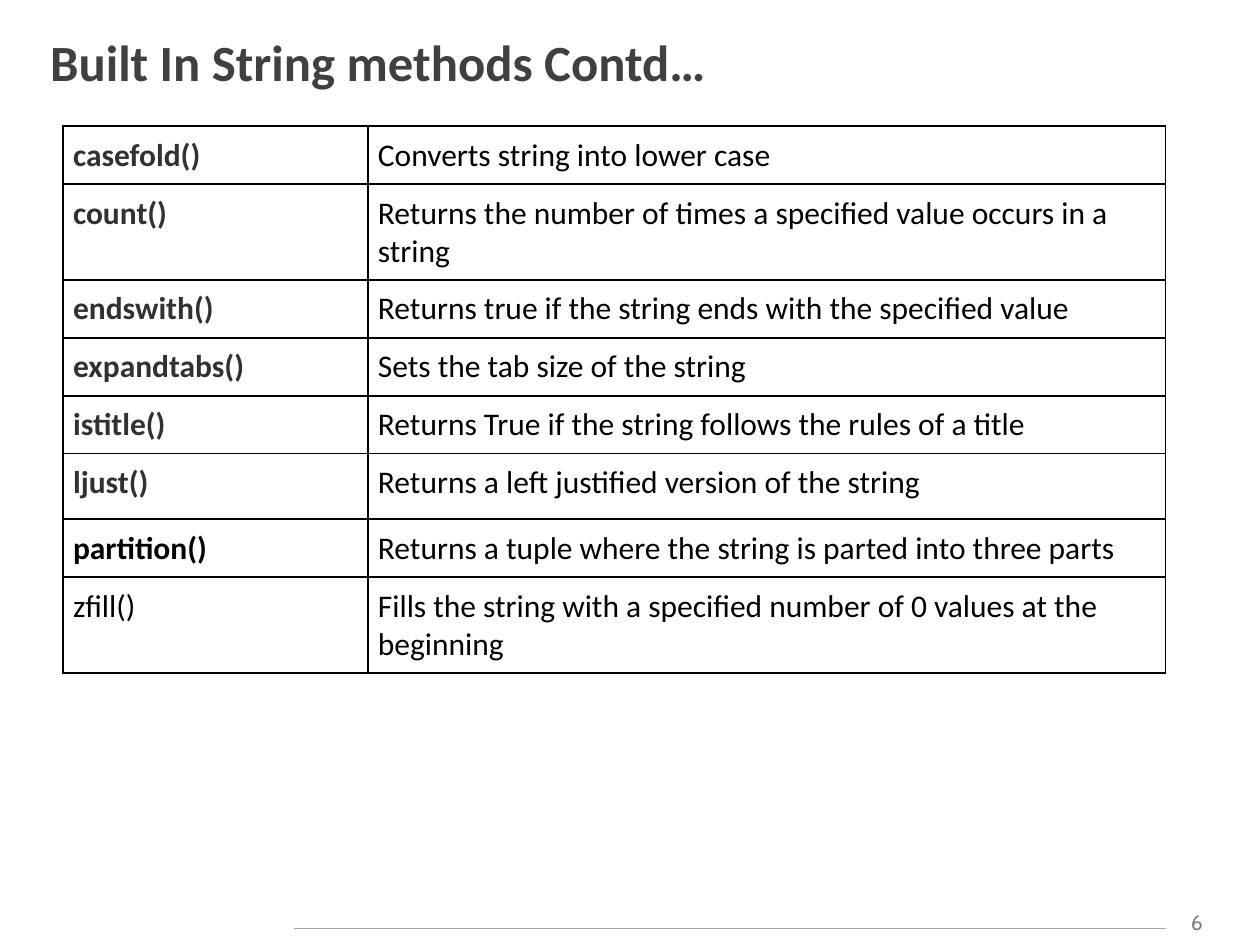
import pptx
import pptx.util
import pptx.dml.color
import pptx.enum.shapes
import pptx.enum.text
from pptx.oxml.ns import qn
from lxml import etree

Inches, Pt = pptx.util.Inches, pptx.util.Pt
ALIGN, ANCHOR = pptx.enum.text.PP_ALIGN, pptx.enum.text.MSO_ANCHOR


def rgb(value):
    return pptx.dml.color.RGBColor.from_string(value)


class Deck:
    """Holds the style and the current slide."""

    font = "Calibri"
    black, name_color, title_color = "000000", "313131", "404040"
    rule_color, number_color = "A6A6A6", "808080"
    cell_margin = 0.08

    def __init__(self, width, height):
        self.prs = pptx.Presentation()
        self.prs.slide_width, self.prs.slide_height = Inches(width), Inches(height)
        self.s = self.prs.slides.add_slide(self.prs.slide_layouts[6])

    def add_run(self, tf, text, color, align=ALIGN.LEFT, **formats):
        p = tf.paragraphs[0]
        p.alignment = align
        r = p.add_run()
        r.text = text
        for key, value in {"name": self.font, "bold": False, **formats}.items():
            setattr(r.font, key, value)
        r.font.color.rgb = rgb(color)

    def text(self, box, text, color, anchor=ANCHOR.TOP, **formats):
        tf = self.s.shapes.add_textbox(*map(Inches, box)).text_frame
        tf.word_wrap = True
        tf.vertical_anchor = anchor
        self.add_run(tf, text, color, **formats)

    def line(self, x1, y1, x2, y2, color, width):
        sp = self.s.shapes.add_connector(
            pptx.enum.shapes.MSO_CONNECTOR.STRAIGHT, *map(Inches, (x1, y1, x2, y2)))
        sp.line.color.rgb = rgb(color)
        sp.line.width = Pt(width)
        etree.SubElement(sp._element.spPr, qn("a:effectLst"))

    def borders(self, cell, color, width):
        tcPr = cell._tc.get_or_add_tcPr()
        for i, side in enumerate(("lnL", "lnR", "lnT", "lnB")):
            ln = etree.Element(qn(f"a:{side}"), w=str(Pt(width)))
            fill = etree.SubElement(ln, qn("a:solidFill"))
            etree.SubElement(fill, qn("a:srgbClr"), val=color)
            tcPr.insert(i, ln)

    def cell(self, cell, text, color, bold):
        cell.fill.background()
        for side in ("left", "right", "top", "bottom"):
            setattr(cell, f"margin_{side}", Inches(self.cell_margin))
        self.add_run(cell.text_frame, text, color, size=Pt(18), bold=bold)
        self.borders(cell, self.black, 1)

    def table(self, x, y, widths, heights, rows):
        size = map(Inches, (x, y, sum(widths), sum(heights)))
        table = self.s.shapes.add_table(len(rows), len(widths), *size).table
        table.first_row = table.horz_banding = False
        for column, width in zip(table.columns, widths):
            column.width = Inches(width)
        for i, (name, description, color, bold) in enumerate(rows):
            table.rows[i].height = Inches(heights[i])
            self.cell(table.cell(i, 0), name, color, bold)
            self.cell(table.cell(i, 1), description, self.black, False)


def main():
    deck = Deck(10, 7.5)

    # Footer: page number and rule
    deck.text((9.25, 7.17, 0.5, 0.3), "6", deck.number_color,
              align=ALIGN.CENTER, name="Cabin", size=Pt(12))
    deck.line(2.33, 7.37, 9.25, 7.37, deck.rule_color, 0.75)

    # Title
    deck.text((0.3, 0.17, 9.36, 0.63), "Built In String methods Contd…",
              deck.title_color, anchor=ANCHOR.MIDDLE, size=Pt(29), bold=True)

    # Methods: name, description, name colour, name bold
    gray, black = deck.name_color, deck.black
    methods = [
        ("casefold()", "Converts string into lower case", gray, True),
        ("count()", "Returns the number of times a specified value occurs in a string", gray, True),
        ("endswith()", "Returns true if the string ends with the specified value", gray, True),
        ("expandtabs()", "Sets the tab size of the string", gray, True),
        ("istitle()", "Returns True if the string follows the rules of a title", gray, True),
        ("ljust()", "Returns a left justified version of the string", gray, True),
        ("partition()", "Returns a tuple where the string is parted into three parts", black, True),
        ("zfill()", "Fills the string with a specified number of 0 values at the beginning", black, False),
    ]
    heights = [0.52 if name == "ljust()" else 0.41 for name, *_ in methods]
    deck.table(0.5, 1, (2.42, 6.33), heights, methods)

    deck.prs.save("out.pptx")


if __name__ == "__main__":
    main()
